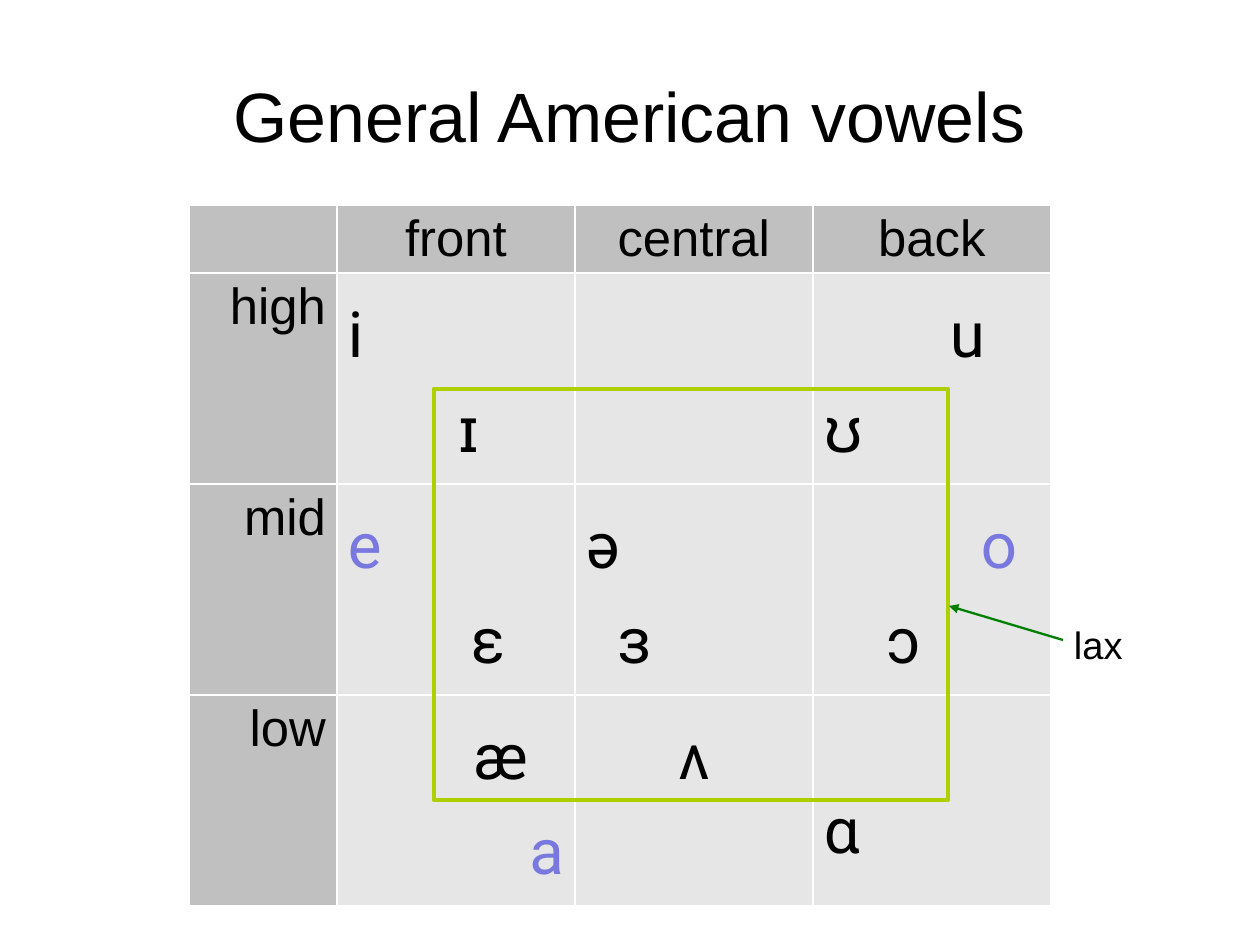
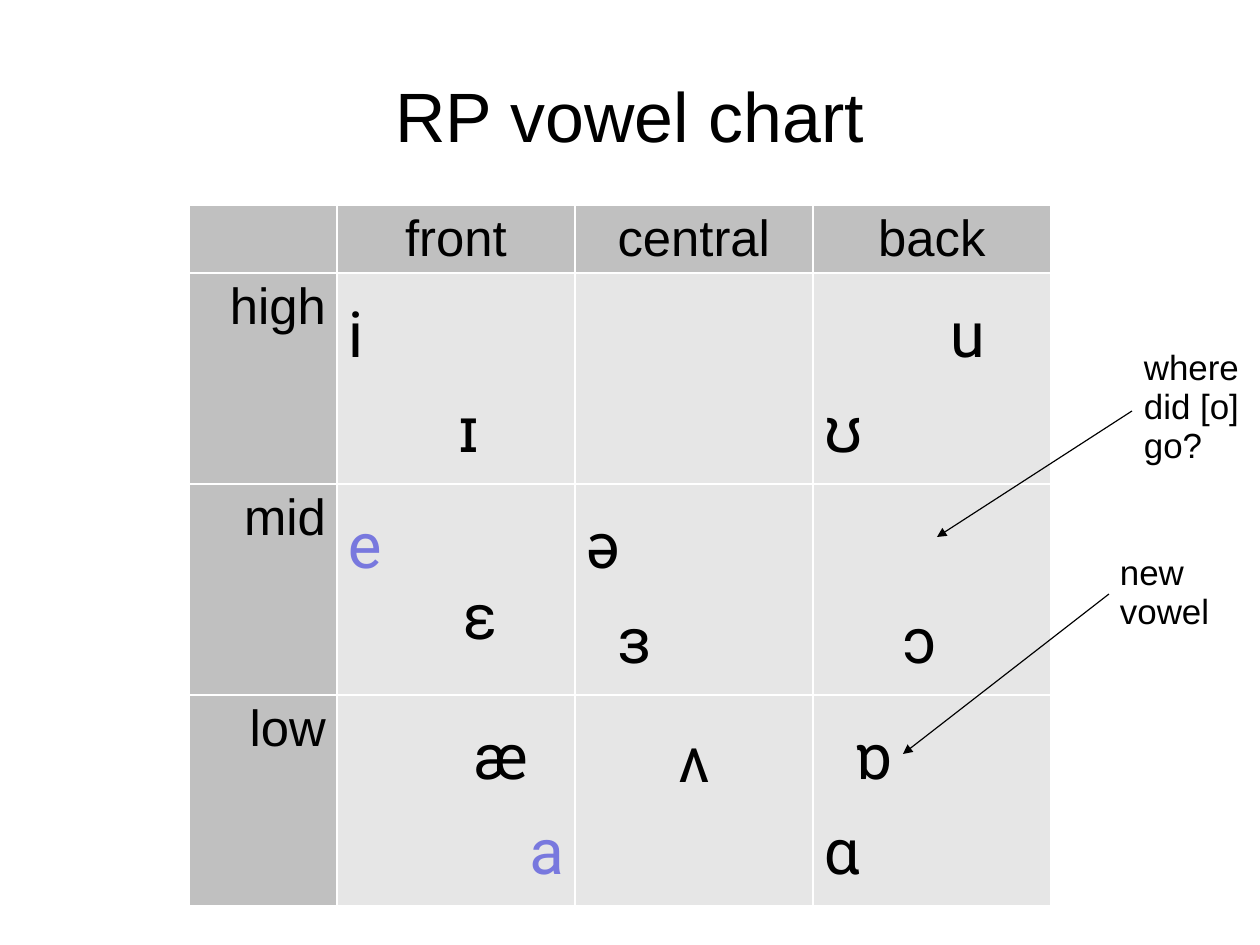
from dataclasses import dataclass

from lxml import etree
from pptx import Presentation
from pptx.dml.color import RGBColor
from pptx.enum import shapes, text
from pptx.oxml import ns
from pptx.util import Emu, Pt

PX = 8000
LEFT, CENTER, RIGHT = text.PP_ALIGN.LEFT, text.PP_ALIGN.CENTER, text.PP_ALIGN.RIGHT


@dataclass(frozen=True)
class Theme:
    black: str = "000000"
    header: str = "C0C0C0"
    body: str = "E6E6E6"
    border: str = "FFFFFF"
    violet: str = "7878DE"
    lime: str = "AECF00"
    green: str = "008000"
    label_font: str = "Arial"
    vowel_font: str = "Roboto"
    title_size: int = 44
    header_size: int = 32
    vowel_size: int = 40
    tight: float = 0.93
    loose: float = 1.27


THEME = Theme()


@dataclass(frozen=True)
class Vowel:
    letter: str
    indent: int = 0
    align: int = LEFT
    color: str = THEME.black
    spacing: float = THEME.loose


SLIDE_SIZE = (1260, 945)
TITLE_BOX = (63, 38, 1134, 158)
TABLE_ORIGIN = (189, 205)
COLUMN_WIDTHS = (148, 238, 238, 238)
ROW_HEIGHTS = (68, 211, 211, 211)
COLUMNS = ("front", "central", "back")
ROWS = ("high", "mid", "low")
CELL_TOP = 6
LABEL_TOP = 9
SIDE = 11

SHARED_VOWELS = {
    ("high", "front"): [Vowel("i"), Vowel("ɪ", 110)],
    ("high", "back"): [Vowel("u", 126), Vowel("ʊ")],
    ("mid", "central"): [Vowel("ə"), Vowel("ɜ", 31)],
    ("low", "front"): [Vowel("æ", 126), Vowel("a", align=RIGHT, color=THEME.violet)],
    ("low", "central"): [Vowel("ʌ", align=CENTER)],
}
MID_E = Vowel("e", color=THEME.violet)

CHARTS = [
    {
        "title": "General American vowels",
        "vowels": {
            ("mid", "front"): [MID_E, Vowel("ɛ", 123)],
            ("mid", "back"): [Vowel("o", 157, color=THEME.violet), Vowel("ɔ", 63)],
            ("low", "back"): [Vowel("ɑ")],
        },
        "drops": {("low", "back"): 74},
        "lax_frame": (434, 389, 514, 411),
        "notes": [(["lax"], (1063, 617, 80, 60), 24)],
        "arrows": [((1063, 640), (949, 606), THEME.green, 1.45)],
    },
    {
        "title": "RP vowel chart",
        "vowels": {
            ("mid", "front"): [MID_E, Vowel("ɛ", 115, spacing=THEME.tight)],
            ("mid", "back"): [Vowel("ɔ", 79)],
            ("low", "back"): [Vowel("ɒ", 31), Vowel("ɑ")],
        },
        "drops": {("mid", "back"): 95, ("low", "central"): 3},
        "lax_frame": None,
        "notes": [
            (["new", "vowel"], (1109, 546, 120, 89), 22),
            (["where", "did [o]", "go?"], (1133, 341, 127, 128), 22),
        ],
        "arrows": [
            ((1132, 411), (937, 537), THEME.black, 0.75),
            ((1109, 594), (903, 754), THEME.black, 0.75),
        ],
    },
]


def px(*values):
    return [Emu(value * PX) for value in values]


def rgb(color):
    return RGBColor.from_string(color)


def set_margins(target, left, top, right, bottom):
    (target.margin_left, target.margin_top,
     target.margin_right, target.margin_bottom) = px(left, top, right, bottom)


def write(paragraph, words, font, size, color=THEME.black, align=LEFT, spacing=THEME.tight):
    paragraph.alignment = align
    paragraph.line_spacing = spacing
    run = paragraph.add_run()
    run.text = words
    run.font.name = font
    run.font.size = Pt(size)
    run.font.color.rgb = rgb(color)


def paragraphs(frame, count):
    return [frame.paragraphs[0]] + [frame.add_paragraph() for _ in range(count - 1)]


def add_title(slide, words):
    title = slide.shapes.title
    title.left, title.top, title.width, title.height = px(*TITLE_BOX)
    frame = title.text_frame
    frame.auto_size = text.MSO_AUTO_SIZE.NONE
    frame.vertical_anchor = text.MSO_ANCHOR.MIDDLE
    set_margins(frame, 0, 5, 0, 0)
    write(frame.paragraphs[0], words, THEME.label_font, THEME.title_size, align=CENTER)


def style_cell(cell, color, top):
    cell.fill.solid()
    cell.fill.fore_color.rgb = rgb(color)
    set_margins(cell, SIDE, top, SIDE, CELL_TOP)
    properties = cell._tc.get_or_add_tcPr()
    for index, side in enumerate(("a:lnL", "a:lnR", "a:lnT", "a:lnB")):
        line = etree.Element(ns.qn(side), w=str(Pt(1)))
        fill = etree.SubElement(line, ns.qn("a:solidFill"))
        etree.SubElement(fill, ns.qn("a:srgbClr"), val=THEME.border)
        properties.insert(index, line)


def fill_label(cell, label, align):
    style_cell(cell, THEME.header, LABEL_TOP)
    if label:
        write(cell.text_frame.paragraphs[0], label, THEME.label_font,
              THEME.header_size, align=align)


def fill_vowels(cell, vowels, drop):
    style_cell(cell, THEME.body, CELL_TOP + drop)
    for paragraph, vowel in zip(paragraphs(cell.text_frame, len(vowels)), vowels):
        write(paragraph, vowel.letter, THEME.vowel_font, THEME.vowel_size,
              vowel.color, vowel.align, vowel.spacing)
        if vowel.indent:
            paragraph._p.get_or_add_pPr().set("marL", str(vowel.indent * PX))


def add_vowel_table(slide, vowels, drops):
    table = slide.shapes.add_table(
        len(ROW_HEIGHTS), len(COLUMN_WIDTHS),
        *px(*TABLE_ORIGIN, sum(COLUMN_WIDTHS), sum(ROW_HEIGHTS))).table
    table.first_row = table.horz_banding = False
    for column, width in zip(table.columns, px(*COLUMN_WIDTHS)):
        column.width = width
    for row, height in zip(table.rows, px(*ROW_HEIGHTS)):
        row.height = height
    for index, label in enumerate(("",) + COLUMNS):
        fill_label(table.cell(0, index), label, CENTER)
    for row_index, row in enumerate(ROWS, 1):
        fill_label(table.cell(row_index, 0), row, RIGHT)
        for column_index, column in enumerate(COLUMNS, 1):
            place = (row, column)
            fill_vowels(table.cell(row_index, column_index),
                        vowels.get(place, []), drops.get(place, 0))


def add_lax_frame(slide, box):
    shape = slide.shapes.add_shape(shapes.MSO_SHAPE.RECTANGLE, *px(*box))
    shape.shadow.inherit = False
    shape.fill.background()
    shape.line.color.rgb = rgb(THEME.lime)
    shape.line.width = Pt(2.89)


def add_note(slide, lines, box, size):
    frame = slide.shapes.add_textbox(*px(*box)).text_frame
    frame.word_wrap = True
    set_margins(frame, SIDE, 8, SIDE, CELL_TOP)
    for paragraph, line in zip(paragraphs(frame, len(lines)), lines):
        write(paragraph, line, THEME.label_font, size)


def add_arrow(slide, start, end, color, width):
    arrow = slide.shapes.add_connector(shapes.MSO_CONNECTOR.STRAIGHT, *px(*start, *end))
    arrow.line.color.rgb = rgb(color)
    arrow.line.width = Pt(width)
    etree.SubElement(arrow.line._get_or_add_ln(), ns.qn("a:tailEnd"), type="triangle")
    etree.SubElement(arrow._element.spPr, ns.qn("a:effectLst"))


def main():
    presentation = Presentation()
    presentation.slide_width, presentation.slide_height = px(*SLIDE_SIZE)
    for chart in CHARTS:
        slide = presentation.slides.add_slide(presentation.slide_layouts[5])
        add_title(slide, chart["title"])
        add_vowel_table(slide, SHARED_VOWELS | chart["vowels"], chart["drops"])
        if chart["lax_frame"]:
            add_lax_frame(slide, chart["lax_frame"])
        for note in chart["notes"]:
            add_note(slide, *note)
        for arrow in chart["arrows"]:
            add_arrow(slide, *arrow)
    presentation.save("out.pptx")


if __name__ == "__main__":
    main()
